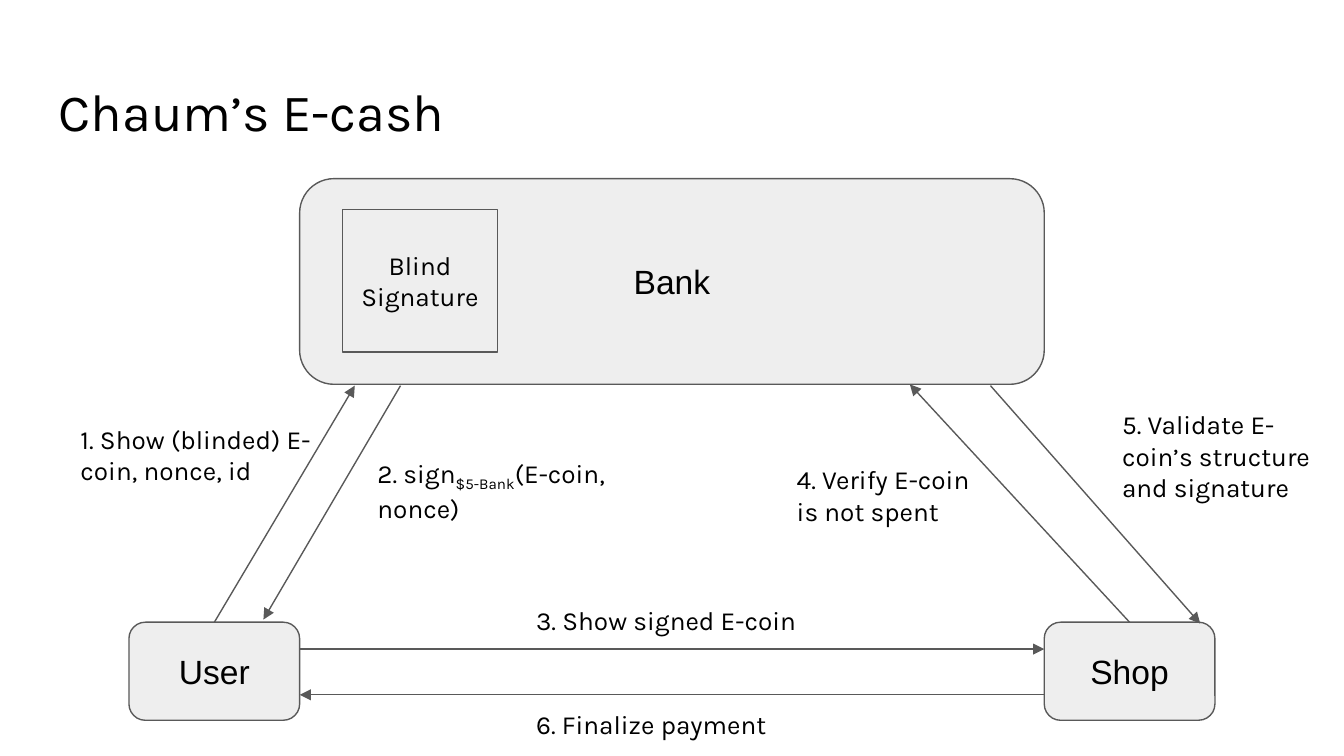
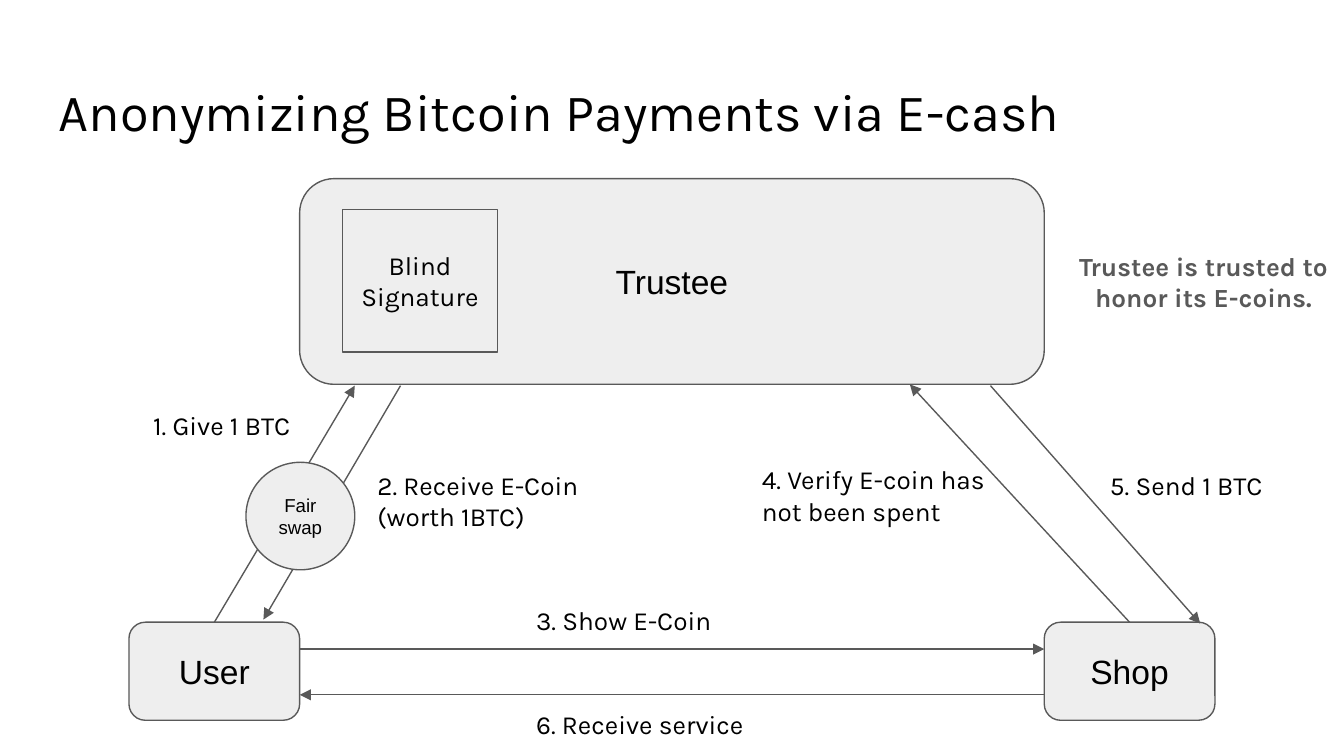
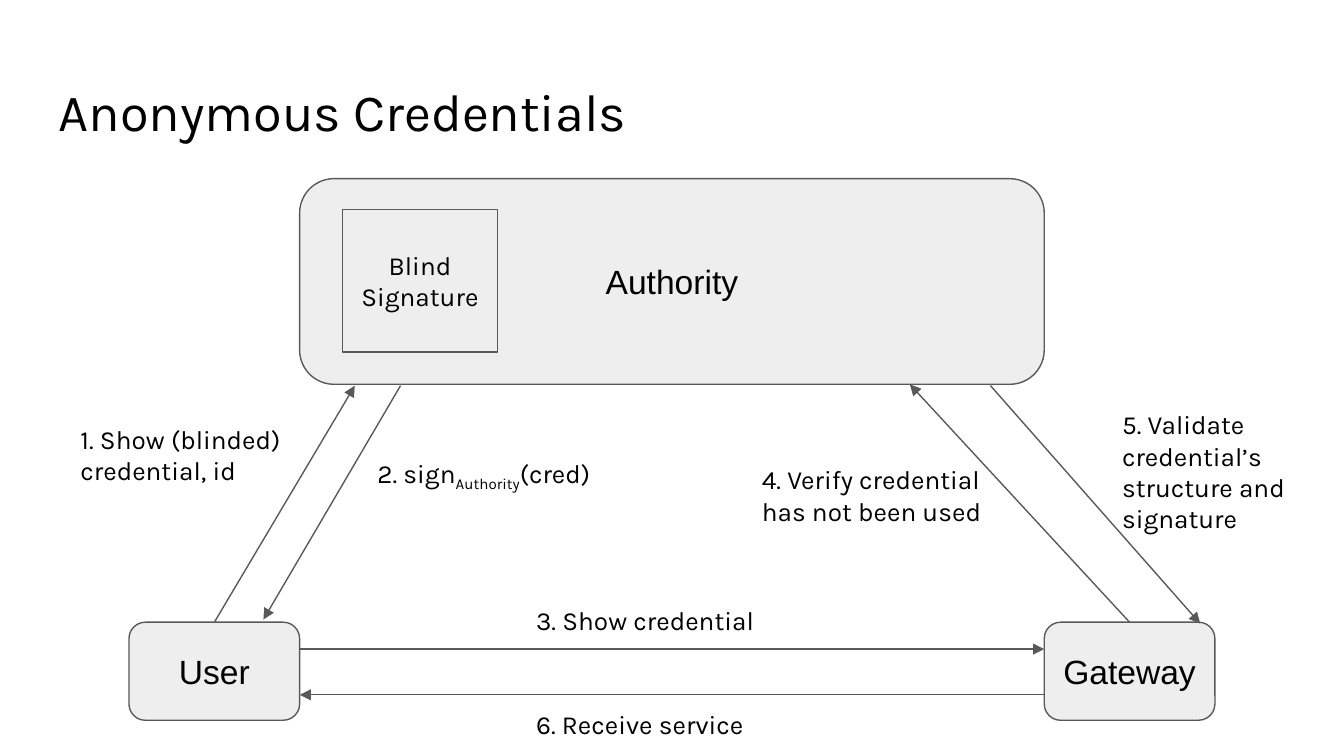
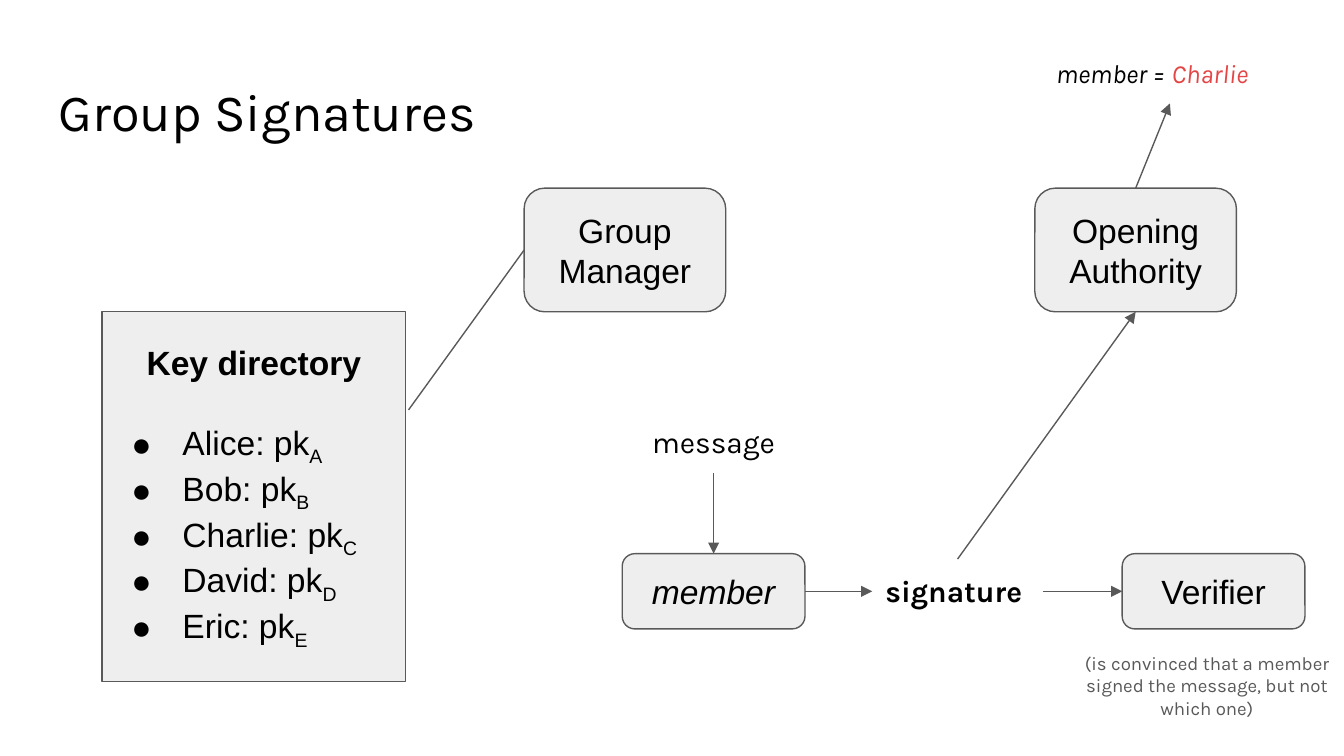
from lxml import etree
from pptx import Presentation
from pptx.dml.color import RGBColor
from pptx.enum.shapes import MSO_CONNECTOR, MSO_SHAPE
from pptx.enum.text import MSO_ANCHOR, MSO_AUTO_SIZE, PP_ALIGN
from pptx.oxml.ns import qn
from pptx.util import Pt

PX = 9144  # 100 px to the inch
BLACK = RGBColor(0x00, 0x00, 0x00)
GRAY = RGBColor(0x59, 0x59, 0x59)
PALE = RGBColor(0xEE, 0xEE, 0xEE)
RED = RGBColor(0xE4, 0x45, 0x45)
SANS, KARLA = "Arial", "Karla"
ROUND, RECT, OVAL = MSO_SHAPE.ROUNDED_RECTANGLE, MSO_SHAPE.RECTANGLE, MSO_SHAPE.OVAL
STRAIGHT = MSO_CONNECTOR.STRAIGHT
LEFT, MID = PP_ALIGN.LEFT, PP_ALIGN.CENTER
TOP, MIDDLE = MSO_ANCHOR.TOP, MSO_ANCHOR.MIDDLE
FIXED, GROW = MSO_AUTO_SIZE.NONE, MSO_AUTO_SIZE.SHAPE_TO_FIT_TEXT
TOP_SIDE, LEFT_SIDE, BASE_SIDE, RIGHT_SIDE = range(4)
TITLE_BOX = (34, 49, 932, 63)


def put(slide, kind, box, text, size=14, font=KARLA, align=LEFT, color=BLACK,
        bold=False, italic=False):
    """Add a shape, or a text box if kind is None; _x_ in the text is a subscript."""
    area = [n * PX for n in box]
    if kind is None:
        shape = slide.shapes.add_textbox(*area)
    else:
        shape = slide.shapes.add_shape(kind, *area)
        shape.shadow.inherit = False
        shape.fill.solid()
        shape.fill.fore_color.rgb = PALE
        shape.line.color.rgb = GRAY
        shape.line.width = Pt(0.75)
    frame = shape.text_frame
    frame.word_wrap = True
    frame.auto_size = FIXED if kind or box == TITLE_BOX else GROW
    frame.vertical_anchor = MIDDLE if kind else TOP
    frame.margin_left = frame.margin_right = frame.margin_top = frame.margin_bottom = 10 * PX
    frame.text = text
    for para in frame.paragraphs:
        para.alignment = align
        if "_" in para.text:
            parts = para.text.split("_")
            para.text = parts[0]
            for i, part in enumerate(parts[1:]):
                if part:
                    run = para.add_run()
                    run.text = part
                    if i % 2 == 0:
                        run.font._element.set("baseline", "-25000")
        for run in para.runs:
            run.font.size, run.font.name = Pt(size), font
            run.font.bold, run.font.italic = bold, italic
            run.font.color.rgb = color
    return shape


def link(slide, start, end, arrow=True):
    """Draw a line; each end is a point (x, y) or a joint (shape, side)."""
    line = slide.shapes.add_connector(STRAIGHT, 0, 0, 0, 0)
    if isinstance(start[0], int):
        line.begin_x, line.begin_y = start[0] * PX, start[1] * PX
    else:
        line.begin_connect(*start)
    if isinstance(end[0], int):
        line.end_x, line.end_y = end[0] * PX, end[1] * PX
    else:
        line.end_connect(*end)
    line.line.color.rgb = GRAY
    line.line.width = Pt(0.75)
    if arrow:
        etree.SubElement(line.line._get_or_add_ln(), qn("a:tailEnd"), type="triangle")
    etree.SubElement(line._element.spPr, qn("a:effectLst"))


deck = Presentation()
deck.slide_width = 1000 * PX
deck.slide_height = deck.slide_width * 9 // 16
blank = deck.slide_layouts[6]

# Three protocols with the same layout: title, hub, right party, numbered steps
FLOWS = [
    ("Chaum’s E-cash", "Bank", "Shop", [
        ((50, 305, 192, 67), "1. Show (blinded) E-coin, nonce, id"),
        ((271, 330, 192, 67), "2. sign_$5-Bank_(E-coin, nonce)"),
        ((389, 440, 222, 44), "3. Show signed E-coin"),
        ((583, 335, 163, 67), "4. Verify E-coin is not spent"),
        ((825, 294, 175, 91), "5. Validate E-coin’s structure and signature"),
        ((389, 517, 222, 44), "6. Finalize payment")]),
    ("Anonymizing Bitcoin Payments via E-cash", "Trustee", "Shop", [
        ((104, 295, 192, 44), "1. Give 1 BTC"),
        ((271, 339, 192, 67), "2. Receive E-Coin (worth 1BTC)"),
        ((389, 440, 222, 44), "3. Show E-Coin"),
        ((557, 335, 192, 67), "4. Verify E-coin has not been spent"),
        ((816, 339, 175, 44), "5. Send 1 BTC"),
        ((389, 517, 222, 44), "6. Receive service")]),
    ("Anonymous Credentials", "Authority", "Gateway", [
        ((50, 305, 192, 67), "1. Show (blinded) credential, id"),
        ((271, 330, 192, 44), "2. sign_Authority_(cred)"),
        ((389, 440, 222, 44), "3. Show credential"),
        ((557, 335, 192, 67), "4. Verify credential has not been used"),
        ((825, 294, 175, 114), "5. Validate credential’s structure and signature"),
        ((389, 517, 222, 44), "6. Receive service")]),
]
for title, hub, party, steps in FLOWS:
    slide = deck.slides.add_slide(blank)
    put(slide, None, TITLE_BOX, title, 28)

    # Parties
    put(slide, ROUND, (223, 133, 554, 153), hub, 18, SANS, MID)
    put(slide, RECT, (255, 156, 115, 106), "Blind\vSignature", align=MID)
    user = put(slide, ROUND, (96, 463, 127, 73), "User", 18, SANS, MID)
    shop = put(slide, ROUND, (777, 463, 127, 73), party, 18, SANS, MID)

    # Arrows, in the order of the steps
    link(slide, (user, TOP_SIDE), (264, 287))
    link(slide, (298, 287), (196, 461))
    link(slide, (223, 483), (777, 483))
    link(slide, (shop, TOP_SIDE), (677, 286))
    link(slide, (737, 287), (893, 464))
    link(slide, (777, 517), (223, 517))
    for box, text in steps:
        put(slide, None, box, text)

    # Extras for the trustee
    if hub == "Trustee":
        put(slide, OVAL, (183, 344, 81, 80), "Fair\nswap", 10, SANS, MID)
        put(slide, None, (791, 176, 209, 67), "Trustee is trusted to honor its E-coins.",
            align=MID, color=GRAY, bold=True)

# Group signatures
slide = deck.slides.add_slide(blank)
put(slide, None, TITLE_BOX, "Group Signatures", 28)

# Key directory
names = ["Alice", "Bob", "Charlie", "David", "Eric"]
keys = [f"{name}: pk_{name[0]}_" for name in names]
table = put(slide, RECT, (76, 232, 226, 275), "\n".join(["Key directory"] + keys), 18, SANS)
head, *rows = table.text_frame.paragraphs
head.alignment = MID
head.space_after = Pt(21)
head.runs[0].font.bold = True
for row in rows:
    props = row._p.get_or_add_pPr()
    props.set("marL", str(50 * PX))
    props.set("indent", str(-38 * PX))
    tint = etree.SubElement(props, qn("a:buClr"))
    etree.SubElement(tint, qn("a:srgbClr"), val=str(BLACK))
    etree.SubElement(props, qn("a:buFont"), typeface=SANS)
    etree.SubElement(props, qn("a:buChar"), char="●")

# Roles
boss = put(slide, ROUND, (390, 140, 150, 92), "Group Manager", 18, SANS, MID)
judge = put(slide, ROUND, (770, 140, 150, 92), "Opening Authority", 18, SANS, MID)
member = put(slide, ROUND, (463, 412, 136, 56), "member", 18, SANS, MID, italic=True)
check = put(slide, ROUND, (835, 412, 136, 56), "Verifier", 18, SANS, MID)

# Labels
note = put(slide, None, (461, 305, 140, 47), "message", 16, align=MID)
sign = put(slide, None, (649, 416, 127, 48), "signature", 16, bold=True)
found = put(slide, None, (776, 33, 189, 44), "member = ", italic=True)
run = found.text_frame.paragraphs[0].add_run()
run.text = "Charlie"
run.font.size, run.font.name, run.font.italic = Pt(14), KARLA, True
run.font.color.rgb = RED
put(slide, None, (796, 475, 204, 71),
    "(is convinced that a member signed the message, but not which one)",
    10, align=MID, color=GRAY)

# Links
link(slide, (304, 305), (boss, LEFT_SIDE), arrow=False)
link(slide, (note, BASE_SIDE), (member, TOP_SIDE))
link(slide, (member, RIGHT_SIDE), (sign, LEFT_SIDE))
link(slide, (sign, RIGHT_SIDE), (check, LEFT_SIDE))
link(slide, (sign, TOP_SIDE), (judge, BASE_SIDE))
link(slide, (judge, TOP_SIDE), (found, BASE_SIDE))

deck.save("out.pptx")
